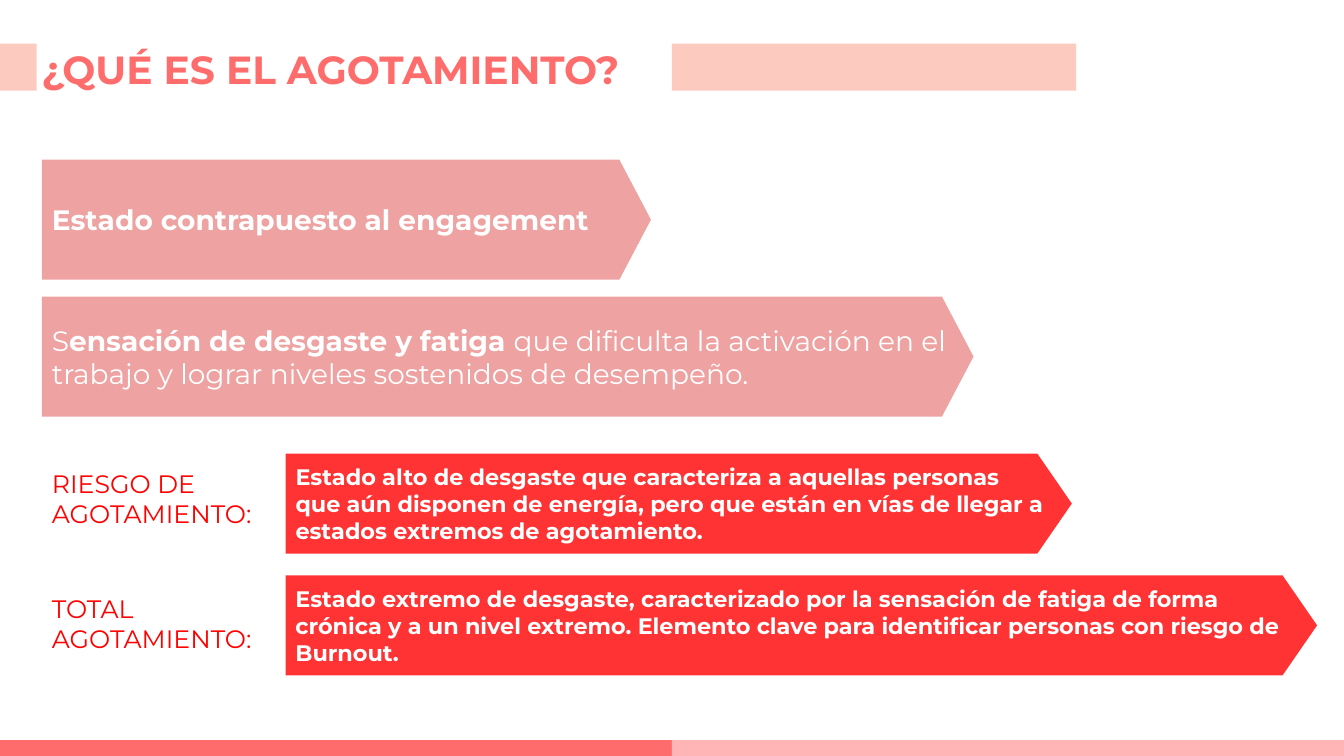
from dataclasses import dataclass

from lxml import etree
from pptx import Presentation
from pptx import util as u
from pptx.dml.color import RGBColor
from pptx.enum import shapes, text
from pptx.oxml.ns import qn

COLORS = {
    "coral": "FF6C6C",
    "peach": "FD9783",
    "rose": "E46565",
    "red": "FF0000",
    "white": "FFFFFF",
}
FONT = "Montserrat"

# Grid of 160 columns by 90 rows
DECK_WIDTH, DECK_HEIGHT = u.Inches(13.33), u.Inches(7.5)
COLUMN, ROW = DECK_WIDTH / 160, DECK_HEIGHT / 90
MARGIN, MIDDLE = 5, 80


@dataclass(frozen=True)
class Area:
    left: float
    top: float
    width: float
    height: float

    def emu(self) -> tuple[int, int, int, int]:
        return (round(self.left * COLUMN), round(self.top * ROW),
                round(self.width * COLUMN), round(self.height * ROW))


@dataclass(frozen=True)
class Bar:
    area: Area
    color: str
    opacity: int = 100


@dataclass(frozen=True)
class Span:
    words: str
    bold: bool = True


@dataclass(frozen=True)
class Arrow:
    area: Area
    color: str
    opacity: int
    point: float
    size: int
    spans: tuple[Span, ...]


@dataclass(frozen=True)
class Label:
    area: Area
    lines: tuple[str, ...]


def definition(top: float, width: float, *spans: Span) -> Arrow:
    return Arrow(Area(MARGIN, top, width, 14.3), "rose", 60, 0.263, 20, spans)


def level(top: float, width: float, words: str) -> Arrow:
    return Arrow(Area(34, top, width, 11.9), "red", 80, 0.345, 16, (Span(words),))


BARS = (
    Bar(Area(0, 88.1, 160, 1.9), "coral"),
    Bar(Area(MIDDLE, 88.1, 80, 1.9), "white", 50),
    Bar(Area(MIDDLE, 5.2, 48.1, 5.6), "peach", 50),
    Bar(Area(0, 5.2, 4.35, 5.6), "peach", 50),
)
ARROWS = (
    definition(19, 72.5, Span("Estado contrapuesto al engagement")),
    definition(
        35.3, 110.9,
        Span("S", False),
        Span("ensación de desgaste y fatiga "),
        Span("que dificulta la activación en el trabajo y lograr niveles "
             "sostenidos de desempeño.", False)),
    level(54, 93.6,
          "Estado alto de desgaste que caracteriza a aquellas personas que aún "
          "disponen de energía, pero que están en vías de llegar a estados "
          "extremos de agotamiento."),
    level(68.5, 122.8,
          "Estado extremo de desgaste, caracterizado por la sensación de fatiga "
          "de forma crónica y a un nivel extremo. Elemento clave para identificar "
          "personas con riesgo de Burnout."),
)
LABELS = (
    Label(Area(MARGIN, 55.1, 28.8, 8.5), ("RIESGO DE", "AGOTAMIENTO:")),
    Label(Area(MARGIN, 70, 28.8, 8.5), ("TOTAL", "AGOTAMIENTO:")),
)


def style_font(font, size: int, color: str) -> None:
    font.name = FONT
    font.size = u.Pt(size)
    font.color.rgb = RGBColor.from_string(COLORS[color])


def add_filled(page, kind, area: Area, color: str, opacity: int):
    shape = page.shapes.add_shape(kind, *area.emu())
    shape.shadow.inherit = False
    shape.line.fill.background()
    shape.fill.solid()
    shape.fill.fore_color.rgb = RGBColor.from_string(COLORS[color])
    if opacity < 100:
        hue = shape.fill._xPr.find(qn("a:solidFill"))[0]
        etree.SubElement(hue, qn("a:alpha"), val=str(opacity * 1000))
    return shape


def add_title(page, words: str) -> None:
    title = page.shapes.title
    title.left, title.top, title.width, title.height = Area(3.75, 5, 106, 7.2).emu()
    frame = title.text_frame
    frame.text = words
    frame.auto_size = text.MSO_AUTO_SIZE.NONE
    frame.vertical_anchor = text.MSO_ANCHOR.MIDDLE
    para = frame.paragraphs[0]
    para.alignment = text.PP_ALIGN.LEFT
    para.line_spacing = 0.9
    style_font(para.font, 28, "coral")
    para.font.bold = True


def add_arrow(page, arrow: Arrow) -> None:
    shape = add_filled(page, shapes.MSO_SHAPE.PENTAGON, arrow.area,
                       arrow.color, arrow.opacity)
    shape.adjustments[0] = arrow.point
    frame = shape.text_frame
    frame.word_wrap = True
    frame.vertical_anchor = text.MSO_ANCHOR.MIDDLE
    para = frame.paragraphs[0]
    para.alignment = text.PP_ALIGN.LEFT
    style_font(para.font, arrow.size, "white")
    for span in arrow.spans:
        run = para.add_run()
        run.text = span.words
        run.font.bold = span.bold


def add_label(page, label: Label) -> None:
    frame = page.shapes.add_textbox(*label.area.emu()).text_frame
    frame.word_wrap = True
    frame.auto_size = text.MSO_AUTO_SIZE.SHAPE_TO_FIT_TEXT
    frame.text = "\n".join(label.lines)
    for para in frame.paragraphs:
        style_font(para.font, 18, "red")


def main() -> None:
    deck = Presentation()
    deck.slide_width, deck.slide_height = DECK_WIDTH, DECK_HEIGHT
    page = deck.slides.add_slide(deck.slide_layouts.get_by_name("Title Only"))

    # Heading and decorative bars
    add_title(page, "¿QUÉ ES EL AGOTAMIENTO?")
    for bar in BARS:
        add_filled(page, shapes.MSO_SHAPE.RECTANGLE, bar.area, bar.color, bar.opacity)

    # Definitions and levels
    for arrow in ARROWS:
        add_arrow(page, arrow)
    for label in LABELS:
        add_label(page, label)

    deck.save("out.pptx")


if __name__ == "__main__":
    main()
